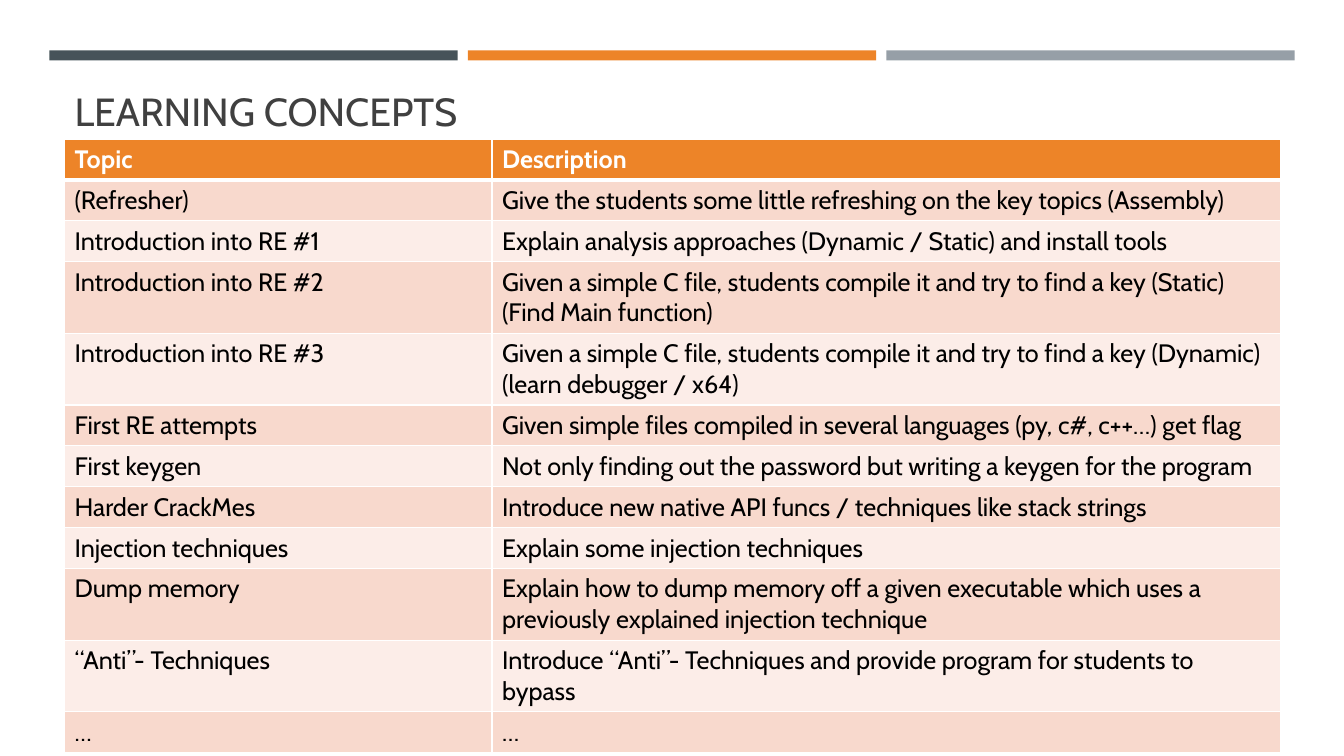
from pptx import Presentation
from pptx.dml.color import RGBColor as Rgb
from pptx.enum.shapes import MSO_SHAPE as Shape
from pptx.enum.text import MSO_ANCHOR as Anchor, MSO_AUTO_SIZE as Fit, PP_ALIGN as Align
from pptx.oxml import parse_xml
from pptx.oxml.ns import nsdecls
from pptx.util import Inches, Pt

HEX = {
    "slate": "465359", "orange": "ED8428", "gray": "969FA7",
    "title": "404040", "white": "FFFFFF", "black": "000000",
    "dark": "F8D9CD", "light": "FCEDE8",
}
FONT = "Cabin"
TOPICS = [
    ("Topic", "Description"),
    ("(Refresher)",
     "Give the students some little refreshing on the key topics (Assembly)"),
    ("Introduction into RE #1",
     "Explain analysis approaches (Dynamic / Static) and install tools"),
    ("Introduction into RE #2",
     "Given a simple C file, students compile it and try to find a key (Static)\n"
     "(Find Main function)"),
    ("Introduction into RE #3",
     "Given a simple C file, students compile it and try to find a key (Dynamic)\n"
     "(learn debugger / x64)"),
    ("First RE attempts",
     "Given simple files compiled in several languages (py, c#, c++…) get flag"),
    ("First keygen",
     "Not only finding out the password but writing a keygen for the program"),
    ("Harder CrackMes",
     "Introduce new native API funcs / techniques like stack strings"),
    ("Injection techniques", "Explain some injection techniques"),
    ("Dump memory",
     "Explain how to dump memory off a given executable which uses a "
     "previously explained injection technique"),
    ("“Anti”- Techniques",
     "Introduce “Anti”- Techniques and provide program for students to bypass"),
    ("…", "…"),
]


def color(name):
    return Rgb.from_string(HEX[name])


def write(frame, text, size=18, ink="black", bold=False):
    frame.text = text
    for para in frame.paragraphs:
        para.alignment = Align.LEFT
        for run in para.runs:
            font = run.font
            font.name, font.size, font.bold = FONT, Pt(size), bold
            font.color.rgb = color(ink)


def edge(cell, below):
    """Draw white borders, with the bottom one of the given width."""
    props = cell._tc.get_or_add_tcPr()
    for spot, (side, width) in enumerate(
            [("L", 1), ("R", 1), ("T", 1), ("B", below)]):
        props.insert(spot, parse_xml(
            f'<a:ln{side} {nsdecls("a")} w="{Pt(width)}"><a:solidFill>'
            f'<a:srgbClr val="{HEX["white"]}"/></a:solidFill></a:ln{side}>'))


def add_bars(slide, left, top, width, height, gap=0.1):
    names = ["slate", "orange", "gray"]
    size = (width - gap * (len(names) - 1)) / len(names)
    for i, name in enumerate(names):
        bar = slide.shapes.add_shape(
            Shape.RECTANGLE, Inches(left + i * (size + gap)), Inches(top),
            Inches(size), Inches(height))
        bar.shadow.inherit = False
        bar.fill.solid()
        bar.fill.fore_color.rgb = color(name)
        bar.line.fill.background()


def add_title(slide, text, left, top, width, height):
    title = slide.shapes.title
    title.left, title.top = Inches(left), Inches(top)
    title.width, title.height = Inches(width), Inches(height)
    frame = title.text_frame
    frame.word_wrap, frame.auto_size = True, Fit.NONE
    frame.vertical_anchor = Anchor.BOTTOM
    write(frame, text, size=28, ink="title")


def add_topics(slide, left, top, width, first=4.24, high=0.4):
    table = slide.shapes.add_table(
        len(TOPICS), 2, Inches(left), Inches(top), Inches(width),
        Inches(high * len(TOPICS))).table
    for col, size in zip(table.columns, (first, width - first)):
        col.width = Inches(size)
    for r, texts in enumerate(TOPICS):
        head = r == 0
        table.rows[r].height = Inches(high)
        fill = "orange" if head else "dark" if r % 2 else "light"
        for c, text in enumerate(texts):
            cell = table.cell(r, c)
            cell.fill.solid()
            cell.fill.fore_color.rgb = color(fill)
            edge(cell, 3 if head else 1)
            write(cell.text_frame, text, ink="white" if head else "black", bold=head)


# Slide
deck = Presentation()
deck.slide_width, deck.slide_height = Inches(13.33), Inches(7.5)
slide = deck.slides.add_slide(deck.slide_layouts[5])
slide.background.fill.solid()
slide.background.fill.fore_color.rgb = color("white")

# Top bars, title and topic table
add_bars(slide, 0.49, 0.5, 12.35, 0.1)
add_title(slide, "LEARNING CONCEPTS", 0.64, 0.77, 12.06, 0.61)
add_topics(slide, 0.64, 1.38, 12.06)

deck.save("out.pptx")
